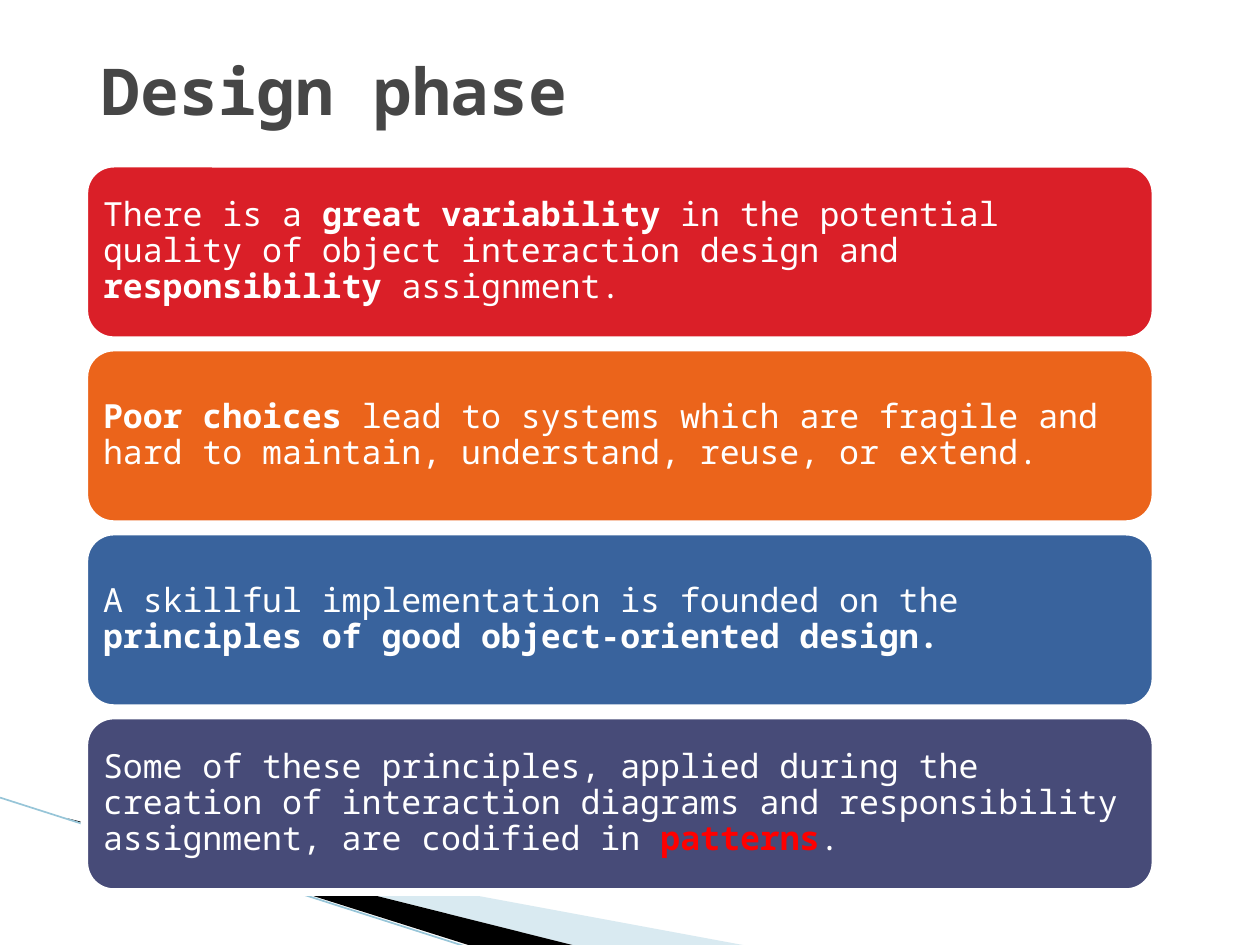
from pptx import Presentation
from pptx.dml.color import RGBColor
from pptx.enum.shapes import MSO_CONNECTOR, MSO_SHAPE
from pptx.enum.text import MSO_ANCHOR, PP_ALIGN
from pptx.oxml.ns import qn
from pptx.util import Inches, Pt
from lxml import etree

LINE = MSO_CONNECTOR.STRAIGHT
ROUND = MSO_SHAPE.ROUNDED_RECTANGLE
MID = MSO_ANCHOR.MIDDLE
LEFT = PP_ALIGN.LEFT

FONT = "Noto Sans Mono"
INK = {
    "white": "FFFFFF", "title": "464646", "mark": "FF0000",
    "red": "DA1F28", "orange": "EB641B", "blue": "39639D", "plum": "474B78",
    "pale": "A0CBDC", "black": "000000", "edge": "97C5D8",
}
CARDS = [
    ("red", [("There is a ", False), ("great variability", True),
             (" in the potential quality of object interaction design and ", False),
             ("responsibility", True), (" assignment.", False)]),
    ("orange", [("Poor choices", True),
                (" lead to systems which are fragile and hard to maintain, "
                 "understand, reuse, or extend.", False)]),
    ("blue", [("A skillful implementation is founded on the ", False),
              ("principles of good object-oriented design.", True)]),
    ("plum", [("Some of these principles, applied during the creation of "
               "interaction diagrams and responsibility assignment, "
               "are codified in ", False),
              ("patterns", True, "mark"), (".", False)]),
]


def tint(name):
    return RGBColor.from_string(INK[name])


def add_run(para, text, size, bold, ink="white"):
    run = para.add_run()
    run.text = text
    font = run.font
    font.name, font.size, font.bold = FONT, Pt(size), bold
    font.color.rgb = tint(ink)


def set_frame(frame, side, edge):
    frame.word_wrap = True
    frame.vertical_anchor = MID
    frame.margin_left = frame.margin_right = Inches(side)
    frame.margin_top = frame.margin_bottom = Inches(edge)
    para = frame.paragraphs[0]
    para.alignment = LEFT
    return para


def add_wedge(slide, box, points, ink, alpha=None):
    left, top, wide, high = box
    spots = [(int(left + x * wide), int(top + y * high)) for x, y in points]
    form = slide.shapes.build_freeform(*spots[0])
    form.add_line_segments(spots[1:])
    shape = form.convert_to_shape()
    shape.shadow.inherit = False
    shape.fill.solid()
    shape.fill.fore_color.rgb = tint(ink)
    shape.line.fill.background()
    if alpha:
        clr = shape.fill._xPr.find(".//" + qn("a:srgbClr"))
        etree.SubElement(clr, qn("a:alpha"), val=str(alpha * 1000))


def add_swoosh(slide, box):
    left, top, wide, high = box
    add_wedge(slide, box, [(0.09, 0.15), (1, 1), (0.77, 1), (0.09, 0.14)],
              "pale", 40)
    add_wedge(slide, box, [(0.09, 0.14), (0.77, 1), (0.63, 1), (0.09, 0.14)],
              "black")
    line = slide.shapes.add_connector(
        LINE, left, top, int(left + 0.62 * wide), top + high)
    line.line.color.rgb = tint("edge")
    line.line.width = Pt(0.95)
    etree.SubElement(line._element.spPr, qn("a:effectLst"))


def add_title(slide, box, text):
    frame = slide.shapes.add_textbox(*box).text_frame
    add_run(set_frame(frame, 0.06, 0.05), text, 36.9, True)
    frame.paragraphs[0].runs[0].font.color.rgb = tint("title")


def add_cards(slide, box, cards, gap):
    left, top, wide, high = box
    tall = (high - gap * (len(cards) - 1)) // len(cards)
    for row, (ink, parts) in enumerate(cards):
        card = slide.shapes.add_shape(
            ROUND, left, top + row * (tall + gap), wide, tall)
        card.shadow.inherit = False
        card.fill.solid()
        card.fill.fore_color.rgb = tint(ink)
        card.line.color.rgb = tint("white")
        card.line.width = Pt(4.33)
        para = set_frame(card.text_frame, 0.08, 0.08)
        para.line_spacing = 0.9
        for text, bold, *mark in parts:
            add_run(para, text, 19, bold, *mark)


def main():
    deck = Presentation()
    deck.slide_width, deck.slide_height = Inches(10), Inches(7.5)
    slide = deck.slides.add_slide(deck.slide_layouts[6])

    def area(*sides):
        return [Inches(side) for side in sides]

    add_swoosh(slide, area(0, 6.33, 5.95, 1.18))
    add_cards(slide, area(0.67, 1.3, 8.5, 5.78), CARDS, Inches(0.06))
    add_title(slide, area(0.75, 0.42, 8.5, 0.58), "Design phase")
    deck.save("out.pptx")


if __name__ == "__main__":
    main()
